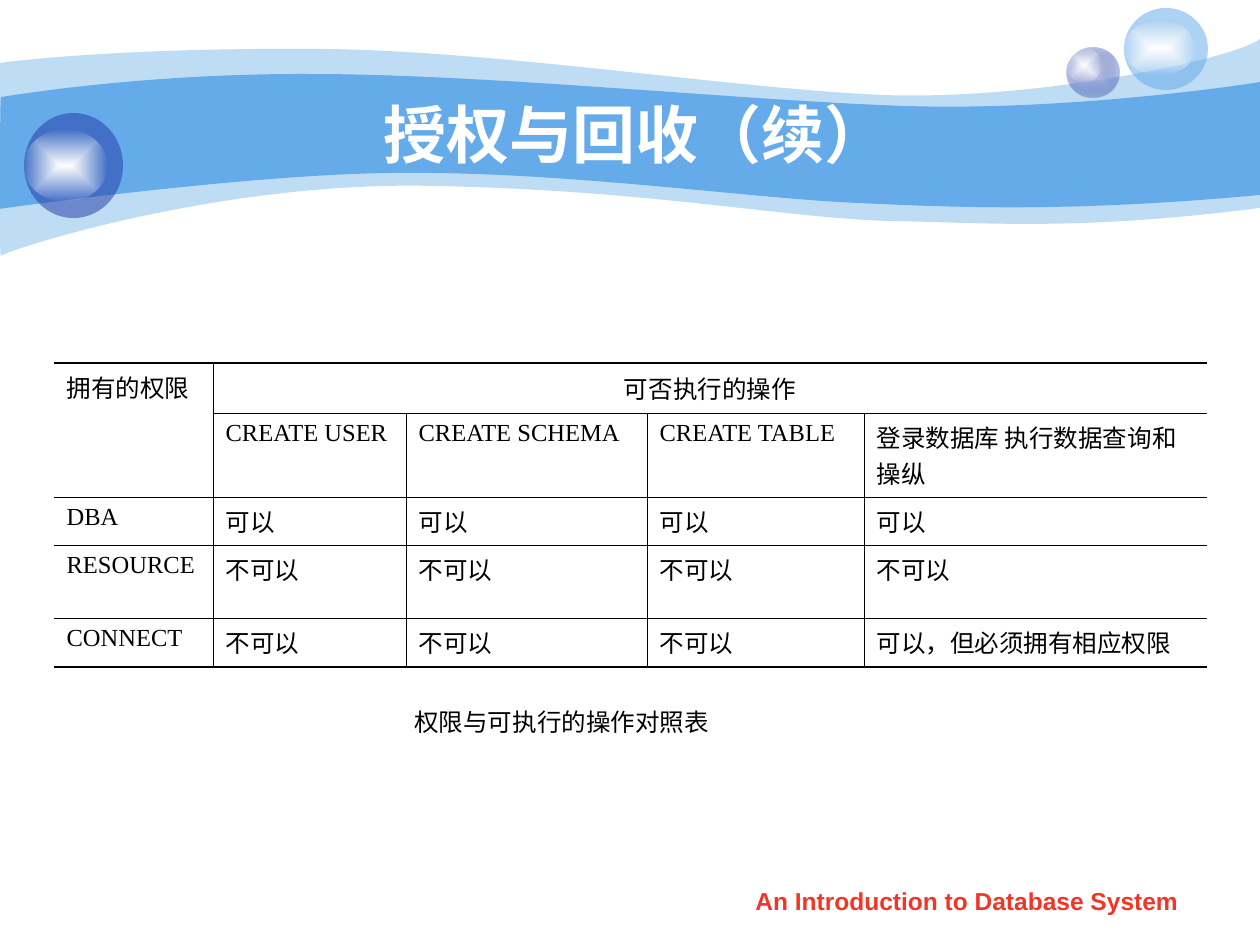
import pptx
import pptx.dml.color
import pptx.enum.shapes
import pptx.enum.text
import pptx.oxml
import pptx.oxml.ns
import pptx.util

PX = 914400 / 126
THEME = {
    "sky": "65AAE9", "navy": "233DA9", "lilac": "C6CCE8",
    "white": "FFFFFF", "clear": "FEFEFE", "black": "000000", "red": "F03628",
    "title_size": 36, "body_size": 14, "heading_font": "Arial", "body_font": "Times New Roman",
    "rule": 0.45, "heavy_rule": 1.08,
}
DRAWING = pptx.oxml.ns.nsdecls("a")


def paint(shape, stops):
    shape.shadow.inherit = False
    shape.line.fill.background()
    colours = [
        f'<a:srgbClr val="{THEME[name]}"><a:alpha val="{opacity * 1000}"/></a:srgbClr>'
        for name, opacity in stops
    ]
    if len(colours) == 1:
        markup = f"<a:solidFill {DRAWING}>{colours[0]}</a:solidFill>"
    else:
        markup = (
            f'<a:gradFill {DRAWING} rotWithShape="1"><a:gsLst>'
            f'<a:gs pos="0">{colours[0]}</a:gs><a:gs pos="100000">{colours[1]}</a:gs></a:gsLst>'
            '<a:path path="rect"><a:fillToRect l="50000" t="50000" r="50000" b="50000"/></a:path>'
            "</a:gradFill>"
        )
    shape.fill.background()
    old_fill = shape._element.spPr.find(pptx.oxml.ns.qn("a:noFill"))
    old_fill.getparent().replace(old_fill, pptx.oxml.parse_xml(markup))


def write(frame, text, size, font, colour, bold=False, centred=False, frame_format=None):
    for name, value in (frame_format or {}).items():
        setattr(frame, name, value)
    paragraph = frame.paragraphs[0]
    align = pptx.enum.text.PP_ALIGN
    paragraph.alignment = align.CENTER if centred else align.LEFT
    run = paragraph.add_run()
    run.text = text
    values = {"size": pptx.util.Pt(THEME[size]), "name": THEME[font], "bold": bold}
    for name, value in values.items():
        setattr(run.font, name, value)
    run.font.color.rgb = pptx.dml.color.RGBColor.from_string(THEME[colour])


presentation = pptx.Presentation()
presentation.slide_width = round(1260 * PX)
presentation.slide_height = round(945 * PX)
slide = presentation.slides.add_slide(presentation.slide_layouts[6])

waves = [
    (41, (0, 63), [
        [(30, 59), (135, 48), (311, 49)],
        [(486, 49), (725, 88), (881, 95)],
        [(1036, 101), (1235, 59), (1260, 39)],
        [(1260, 208)],
        [(1081, 231), (992, 223), (888, 221)],
        [(784, 218), (649, 190), (432, 186)],
        [(217, 181), (5, 251), (1, 256)],
        [(-1, 262), (0, 95), (0, 63)],
    ]),
    (100, (1, 97), [
        [(3, 97), (139, 73), (312, 74)],
        [(486, 74), (750, 101), (905, 106)],
        [(1060, 111), (1230, 87), (1260, 82)],
        [(1260, 195)],
        [(1075, 212), (964, 208), (859, 203)],
        [(755, 199), (563, 171), (399, 173)],
        [(256, 173), (-3, 209), (-1, 209)],
        [(0, 209), (0, 97), (1, 97)],
    ]),
]
for opacity, start, segments in waves:
    builder = slide.shapes.build_freeform(*start, scale=PX)
    builder.add_line_segments([segment[-1] for segment in segments], close=True)
    wave = builder.convert_to_shape()
    left = min(point[0] for point in [start] + [segment[-1] for segment in segments])
    top_edge = min(point[1] for point in [start] + [segment[-1] for segment in segments])
    lines = list(wave._element.iter(pptx.oxml.ns.qn("a:lnTo")))
    for line, segment in zip(lines, segments):
        if len(segment) == 3:
            points = "".join(
                f'<a:pt x="{x - left}" y="{y - top_edge}"/>' for x, y in segment)
            curve = pptx.oxml.parse_xml(f"<a:cubicBezTo {DRAWING}>{points}</a:cubicBezTo>")
            line.getparent().replace(line, curve)
    paint(wave, [("sky", opacity)])

glow = [("white", 100), ("clear", 0)]
spheres = [
    ((1067, 48, 53, 50), [("lilac", 100), ("navy", 31)], (1067, 48, 35, 34)),
    ((1124, 8, 84, 82), [("sky", 53)], (1124, 21, 71, 54)),
    ((24, 113, 99, 105), [("navy", 53)], (24, 130, 83, 71)),
]
for ball_box, ball_fill, glow_box in spheres:
    group = slide.shapes.add_group_shape()
    for box, fill in [(ball_box, ball_fill), (glow_box, glow)]:
        ellipse = group.shapes.add_shape(
            pptx.enum.shapes.MSO_SHAPE.OVAL, *[round(value * PX) for value in box])
        paint(ellipse, fill)

middle = pptx.enum.text.MSO_ANCHOR.MIDDLE
top = pptx.enum.text.MSO_ANCHOR.TOP
labels = [
    ((127, 94, 1018, 78), "授权与回收（续）", "title_size", "heading_font", "white", True, True,
     {"word_wrap": True, "vertical_anchor": middle}),
    ((402, 700, 325, 43), "权限与可执行的操作对照表", "body_size", "body_font", "black", False, False,
     {"word_wrap": False, "vertical_anchor": middle}),
    ((719, 880, 496, 44), "An Introduction to Database System", "body_size", "heading_font", "red", True, True,
     {"word_wrap": True, "vertical_anchor": top}),
]
for box, *text_format in labels:
    text_box = slide.shapes.add_textbox(*[round(value * PX) for value in box])
    write(text_box.text_frame, *text_format)

column_widths = [159, 193, 241, 217, 343]
row_heights = [50, 84, 48, 73, 49]
rows = [
    ["拥有的权限", "可否执行的操作", "", "", ""],
    ["", "CREATE USER", "CREATE SCHEMA", "CREATE TABLE", "登录数据库 执行数据查询和操纵"],
    ["DBA"] + ["可以"] * 4,
    ["RESOURCE"] + ["不可以"] * 4,
    ["CONNECT"] + ["不可以"] * 3 + ["可以，但必须拥有相应权限"],
]
table_frame = slide.shapes.add_table(
    len(rows), len(column_widths), round(54 * PX), round(363 * PX),
    round(sum(column_widths) * PX), round(sum(row_heights) * PX))
table = table_frame.table
for name in ("first_row", "horz_banding"):
    setattr(table, name, False)
style = next(table._tbl.iter(pptx.oxml.ns.qn("a:tableStyleId")))
style.text = "{2D5ABB26-0587-4C30-8999-92F81FD0307C}"
for column, width in zip(table.columns, column_widths):
    column.width = round(width * PX)
for row, height in zip(table.rows, row_heights):
    row.height = round(height * PX)
table.cell(0, 0).merge(table.cell(1, 0))
table.cell(0, 1).merge(table.cell(0, 4))

last_row, last_column = len(rows) - 1, len(column_widths) - 1
for row_index, texts in enumerate(rows):
    for column_index, text in enumerate(texts):
        cell = table.cell(row_index, column_index)
        cell.fill.background()
        if cell.is_spanned:
            continue
        is_group_heading = (row_index, column_index) == (0, 1)
        cell.vertical_anchor = middle if is_group_heading else top
        write(cell.text_frame, text, "body_size", "body_font", "black", centred=is_group_heading)
        right_column = column_index + cell.span_width - 1
        borders = {
            "lnL": "rule" if column_index > 0 else None,
            "lnR": "rule" if right_column < last_column else None,
            "lnT": "rule" if row_index > 0 else "heavy_rule",
            "lnB": "rule" if row_index < last_row else "heavy_rule",
        }
        drawn = [(side, weight) for side, weight in borders.items() if weight]
        for position, (side, weight) in enumerate(drawn):
            border = pptx.oxml.parse_xml(
                f'<a:{side} {DRAWING} w="{pptx.util.Pt(THEME[weight])}"><a:solidFill>'
                f'<a:srgbClr val="{THEME["black"]}"/></a:solidFill></a:{side}>')
            cell._tc.get_or_add_tcPr().insert(position, border)

presentation.save("out.pptx")
